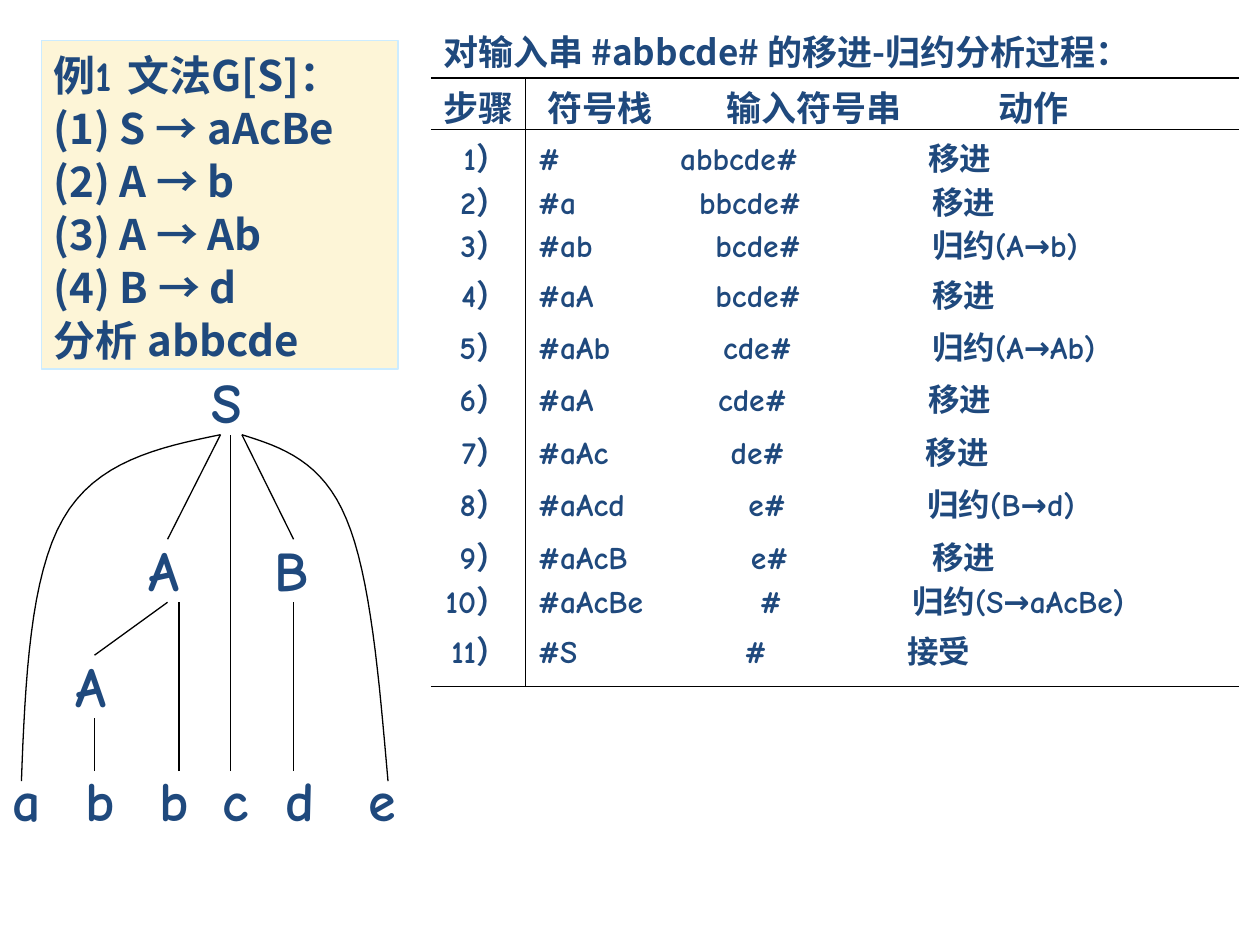
from typing import NamedTuple

from lxml import etree
from pptx import Presentation
from pptx.dml.color import RGBColor
from pptx.enum.shapes import MSO_CONNECTOR, MSO_SHAPE
from pptx.enum.text import MSO_ANCHOR, PP_ALIGN
from pptx.oxml.ns import qn
from pptx.util import Inches, Pt

STRAIGHT = MSO_CONNECTOR.STRAIGHT
RECTANGLE = MSO_SHAPE.RECTANGLE
TOP = MSO_ANCHOR.TOP
LEFT = PP_ALIGN.LEFT

NAVY = RGBColor(0x1F, 0x49, 0x7D)
BLACK = RGBColor(0, 0, 0)
CREAM = RGBColor(0xFD, 0xF5, 0xD7)
PALE_BLUE = RGBColor(0xCC, 0xEC, 0xFF)

COMIC = "Comic Neue"
NOTO = "Noto Sans CJK SC"
TIMES = "Times New Roman"

TABLE_LEFT, TABLE_RIGHT = 3.42, 9.83
TEXT_LEFT = TABLE_LEFT + 0.1
STEP_END, STACK_LEFT = 4.03, 4.27
CURVE_STEPS = 16


class Label(NamedTuple):
    text: str
    left: float
    top: float
    width: float


class Line(NamedTuple):
    x1: float
    y1: float
    x2: float
    y2: float


class Step(NamedTuple):
    top: float
    stack: str
    input: str
    input_left: float
    action: str
    action_left: float


class Span(NamedTuple):
    text: str
    font: str


GRAMMAR = [
    [Span("例1 文法", COMIC), Span("G[S]：", NOTO)],
    [Span("(1) S → aAcBe", NOTO)],
    [Span("(2) A → b", NOTO)],
    [Span("(3) A → Ab", NOTO)],
    [Span("(4) B → d", NOTO)],
    [Span("分析 abbcde", NOTO)],
]

HEADERS = [
    Label("步骤", 3.42, 0.62, 0.83),
    Label("符号栈", 4.25, 0.62, 1.17),
    Label("输入符号串", 5.67, 0.62, 1.67),
    Label("动作", 7.83, 0.62, 0.83),
]

STEPS = [
    Step(1.03, "#", "abbcde#", 5.4, "移进", 7.37),
    Step(1.38, "#a", "bbcde#", 5.55, "移进", 7.4),
    Step(1.72, "#ab", "bcde#", 5.68, "归约(A→b)", 7.4),
    Step(2.12, "#aA", "bcde#", 5.68, "移进", 7.4),
    Step(2.53, "#aAb", "cde#", 5.74, "归约(A→Ab)", 7.4),
    Step(2.95, "#aA", "cde#", 5.7, "移进", 7.37),
    Step(3.37, "#aAc", "de#", 5.8, "移进", 7.35),
    Step(3.78, "#aAcd", "e#", 5.94, "归约(B→d)", 7.36),
    Step(4.2, "#aAcB", "e#", 5.96, "移进", 7.4),
    Step(4.55, "#aAcBe", "#", 6.03, "归约(S→aAcBe)", 7.24),
    Step(4.95, "#S", "#", 5.91, "接受", 7.2),
]

NODES = [
    Label("S", 1.58, 2.87, 0.42),
    Label("A", 1.08, 4.2, 0.42),
    Label("B", 2.08, 4.2, 0.5),
    Label("A", 0.5, 5.12, 0.42),
    Label("a", 0, 6.03, 0.67),
    Label("b", 0.58, 6.03, 0.33),
    Label("b", 1.17, 6.03, 0.33),
    Label("c", 1.67, 6.03, 0.33),
    Label("d", 2.17, 6.03, 0.33),
    Label("e", 2.83, 6.03, 0.42),
]

RULES = [Line(TABLE_LEFT, y, TABLE_RIGHT, y) for y in (0.62, 1.03, 5.45)]
RULES.append(Line(4.17, 0.62, 4.17, 5.45))

BRANCHES = [
    Line(0.75, 6.12, 0.75, 5.7),
    Line(1.42, 6.12, 1.42, 4.78),
    Line(1.33, 4.78, 0.75, 5.2),
    Line(2.33, 6.12, 2.33, 4.78),
    Line(1.83, 6.12, 1.83, 3.45),
    Line(1.75, 3.45, 1.33, 4.28),
    Line(1.92, 3.45, 2.33, 4.28),
]

ARCS = [
    [(1.75, 3.45), (1.26, 3.55), (0.76, 3.66), (0.5, 4.12),
     (0.24, 4.57), (0.2, 5.39), (0.17, 6.2)],
    [(1.92, 3.45), (2.24, 3.55), (2.56, 3.66), (2.75, 4.12),
     (2.94, 4.57), (3.01, 5.39), (3.08, 6.2)],
]


def format_run(run, font: str, size: float) -> None:
    run.font.name = font
    run.font.size = Pt(size)
    run.font.bold = True
    run.font.color.rgb = NAVY
    etree.SubElement(run.font._element, qn("a:ea"), typeface=NOTO)


def draw_label(page, label: Label, font: str, size: float, exact: bool = True):
    height = size * 1.2 / 72 + 0.1
    box = page.shapes.add_textbox(
        Inches(label.left), Inches(label.top), Inches(label.width), Inches(height))
    frame = box.text_frame
    frame.word_wrap = True
    frame.text = label.text
    para = frame.paragraphs[0]
    if exact:
        frame.margin_top = Inches(0.07)
        para.line_spacing = Pt(size * 1.2)
    format_run(para.runs[0], font, size)
    return para


def draw_step(page, number: int, step: Step) -> None:
    text = f"\t{number}）\t{step.stack}\t{step.input}\t{step.action}"
    label = Label(text, TABLE_LEFT, step.top, 6.42)
    para = draw_label(page, label, COMIC, 18)
    stops = [(STEP_END, "r"), (STACK_LEFT, "l"),
             (step.input_left, "l"), (step.action_left, "l")]
    tabs = etree.SubElement(para._p.get_or_add_pPr(), qn("a:tabLst"))
    for left, side in stops:
        etree.SubElement(
            tabs, qn("a:tab"), pos=str(Inches(left - TEXT_LEFT)), algn=side)


def draw_grammar(page) -> None:
    box = page.shapes.add_shape(
        RECTANGLE, Inches(0.33), Inches(0.32), Inches(2.83), Inches(2.61))
    box.shadow.inherit = False
    box.fill.solid()
    box.fill.fore_color.rgb = CREAM
    box.line.color.rgb = PALE_BLUE
    box.line.width = Pt(0.75)
    frame = box.text_frame
    frame.word_wrap = True
    frame.vertical_anchor = TOP
    frame.margin_top = Inches(0.07)
    for index, spans in enumerate(GRAMMAR):
        para = frame.add_paragraph() if index else frame.paragraphs[0]
        para.alignment = LEFT
        para.line_spacing = Pt(28.8)
        para.space_before = Pt(1.5 if index else 0)
        for span in spans:
            run = para.add_run()
            run.text = span.text
            format_run(run, span.font, 24)


def draw_line(page, line: Line) -> None:
    connector = page.shapes.add_connector(STRAIGHT, *(Inches(value) for value in line))
    connector.line.color.rgb = BLACK
    connector.line.width = Pt(0.75)
    etree.SubElement(connector._element.spPr, qn("a:effectLst"))


def bezier(controls: list, t: float) -> tuple:
    weights = ((1 - t) ** 3, 3 * t * (1 - t) ** 2, 3 * t ** 2 * (1 - t), t ** 3)
    return tuple(Inches(sum(w * point[axis] for w, point in zip(weights, controls)))
                 for axis in (0, 1))


def draw_arc(page, controls: list) -> None:
    points = [bezier(controls[start:start + 4], i / CURVE_STEPS)
              for start in (0, 3) for i in range(1, CURVE_STEPS + 1)]
    first_x, first_y = controls[0]
    builder = page.shapes.build_freeform(Inches(first_x), Inches(first_y))
    builder.add_line_segments(points, close=False)
    arc = builder.convert_to_shape()
    arc.shadow.inherit = False
    arc.fill.background()
    arc.line.color.rgb = BLACK
    arc.line.width = Pt(0.75)


def main() -> None:
    deck = Presentation()
    deck.slide_width, deck.slide_height = Inches(10), Inches(7.5)
    page = deck.slides.add_slide(deck.slide_layouts[6])
    draw_grammar(page)
    title = Label("对输入串 #abbcde# 的移进-归约分析过程：", TABLE_LEFT, 0.17, 6.17)
    draw_label(page, title, NOTO, 20)
    for header in HEADERS:
        draw_label(page, header, TIMES, 20)
    for number, step in enumerate(STEPS, 1):
        draw_step(page, number, step)
    for node in NODES:
        draw_label(page, node, COMIC, 32, exact=False)
    for line in RULES + BRANCHES:
        draw_line(page, line)
    for arc in ARCS:
        draw_arc(page, arc)
    deck.save("out.pptx")


if __name__ == "__main__":
    main()
